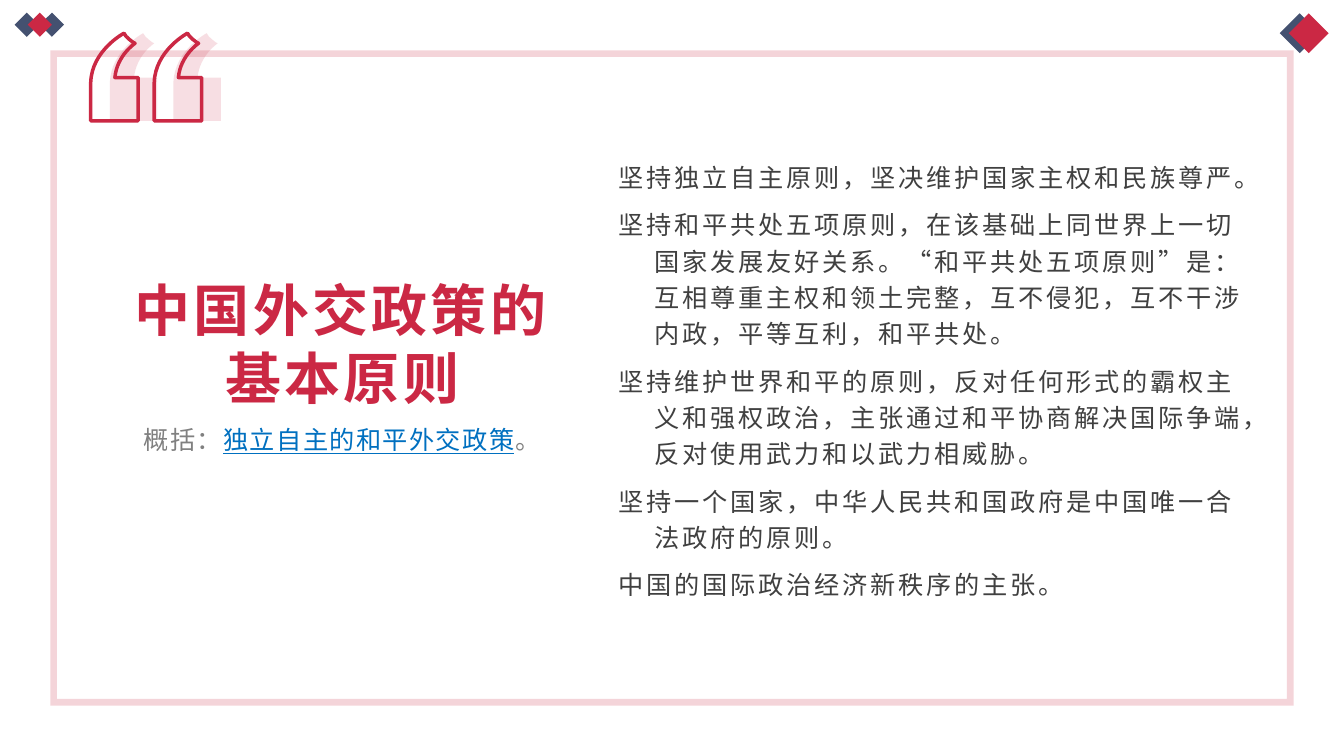
from lxml import etree
from pptx import Presentation
from pptx.dml.color import RGBColor
from pptx.enum import shapes, text
from pptx.oxml import ns
from pptx.util import Inches, Pt

COLORS = {"red": "CB2844", "navy": "445170", "gray": "808080",
          "blue": "0070C0", "ink": "404040"}
FONT = "Noto Sans CJK SC"


def paint(shape, color, opacity=100):
    shape.shadow.inherit = False
    shape.line.fill.background()
    shape.fill.solid()
    shape.fill.fore_color.rgb = RGBColor.from_string(COLORS[color])
    if opacity < 100:
        tint = shape.fill._xPr.find(".//" + ns.qn("a:srgbClr"))
        etree.SubElement(tint, ns.qn("a:alpha"), val=str(opacity * 1000))


def style(span, size, color, spacing):
    span.font.size = Pt(size)
    span.font.name = FONT
    span.font.color.rgb = RGBColor.from_string(COLORS[color])
    props = span._r.get_or_add_rPr()
    props.set("spc", str(round(spacing * 100)))
    props.find(ns.qn("a:latin")).addnext(
        etree.Element(ns.qn("a:ea"), typeface=FONT))


deck = Presentation()
deck.slide_width, deck.slide_height = Inches(13.33), Inches(7.5)
page = deck.slides.add_slide(deck.slide_layouts[7])
title, principles, summary = page.placeholders

for left, top, side, angle, color in [
    (0.43, 0.16, 0.17, 315, "navy"),
    (0.18, 0.16, 0.17, 45, "navy"),
    (0.31, 0.16, 0.17, 45, "red"),
    (12.75, 0.19, 0.28, 45, "navy"),
    (12.84, 0.19, 0.28, 45, "red"),
]:
    diamond = page.shapes.add_shape(
        shapes.MSO_SHAPE.RECTANGLE, Inches(left), Inches(top), Inches(side), Inches(side))
    diamond.rotation = angle
    paint(diamond, color)

frame = page.shapes.add_shape(
    shapes.MSO_SHAPE.FRAME, Inches(0.5), Inches(0.5), Inches(12.33), Inches(6.5))
frame.adjustments[0] = 0.01
paint(frame, "red", 20)

quote_outline = [
    (33, 33), (35, 36), (37, 38), (39, 40), (42, 42),
    (44, 43), (44, 43), (26, 55), (24, 77),
    (47, 77), (47, 120), (0, 120), (0, 82), (1, 50), (33, 33), (33, 33),
]
curve_starts = [1, 5, 12]

for left, filled in [(109, True), (90, False)]:
    first, second = [[(x + left + offset, y) for x, y in quote_outline] for offset in (0, 63)]
    builder = page.shapes.build_freeform(*first[0], scale=Inches(0.01))
    builder.add_line_segments(first[1:], close=True)
    builder.move_to(*second[0])
    builder.add_line_segments(second[1:], close=True)
    quote = builder.convert_to_shape()
    segments = list(quote._element.iter(ns.qn("a:lnTo")))
    for mark_start in (0, len(quote_outline) - 1):
        for curve_start in curve_starts:
            controls = segments[mark_start + curve_start:][:3]
            curve = etree.Element(ns.qn("a:cubicBezTo"))
            controls[0].addprevious(curve)
            for control in controls:
                curve.append(control[0])
                control.getparent().remove(control)
    paint(quote, "red", 15)
    if not filled:
        quote.fill.background()
        quote.line.color.rgb = RGBColor.from_string(COLORS["red"])
        quote.line.width = Pt(2.5)

for box, bounds, anchor in [
    (title, (1.22, 2.56, 4.35, 1.54), text.MSO_ANCHOR.BOTTOM),
    (summary, (1.22, 4.18, 4.35, 0.76), text.MSO_ANCHOR.TOP),
    (principles, (6.06, 1.3, 6.42, 4.9), text.MSO_ANCHOR.MIDDLE),
]:
    box.left, box.top, box.width, box.height = map(Inches, bounds)
    area = box.text_frame
    area.word_wrap = True
    area.auto_size = text.MSO_AUTO_SIZE.NONE
    area.vertical_anchor = anchor
    area.margin_left = area.margin_right = Inches(0.07)
    area.margin_top = area.margin_bottom = Inches(0.03)

title.text_frame.text = "中国外交政策的基本原则"
heading = title.text_frame.paragraphs[0]
heading.alignment = text.PP_ALIGN.CENTER
heading.runs[0].font.bold = True
style(heading.runs[0], 40, "red", 2.4)

para = summary.text_frame.paragraphs[0]
para.alignment = text.PP_ALIGN.CENTER
para.space_before = Pt(0)
for words, color in [("概括：", "gray"), ("独立自主的和平外交政策", "blue"), ("。", "gray")]:
    span = para.add_run()
    span.text = words
    style(span, 18, color, 1)
    if color == "blue":
        span.font.underline = True

principles.text_frame.text = "\n".join([
    "坚持独立自主原则，坚决维护国家主权和民族尊严。",
    "坚持和平共处五项原则，在该基础上同世界上一切国家发展友好关系。“和平共处五项原则”是：互相尊重主权和领土完整，互不侵犯，互不干涉内政，平等互利，和平共处。",
    "坚持维护世界和平的原则，反对任何形式的霸权主义和强权政治，主张通过和平协商解决国际争端，反对使用武力和以武力相威胁。",
    "坚持一个国家，中华人民共和国政府是中国唯一合法政府的原则。",
    "中国的国际政治经济新秩序的主张。",
])
for para in principles.text_frame.paragraphs:
    props = para._p.get_or_add_pPr()
    props.set("marL", str(Inches(0.36)))
    props.set("indent", str(-Inches(0.36)))
    etree.SubElement(props, ns.qn("a:buNone"))
    para.line_spacing = 1.2
    para.space_before = Pt(0)
    para.space_after = Pt(8)
    style(para.runs[0], 18, "ink", 2)

deck.save("out.pptx")
